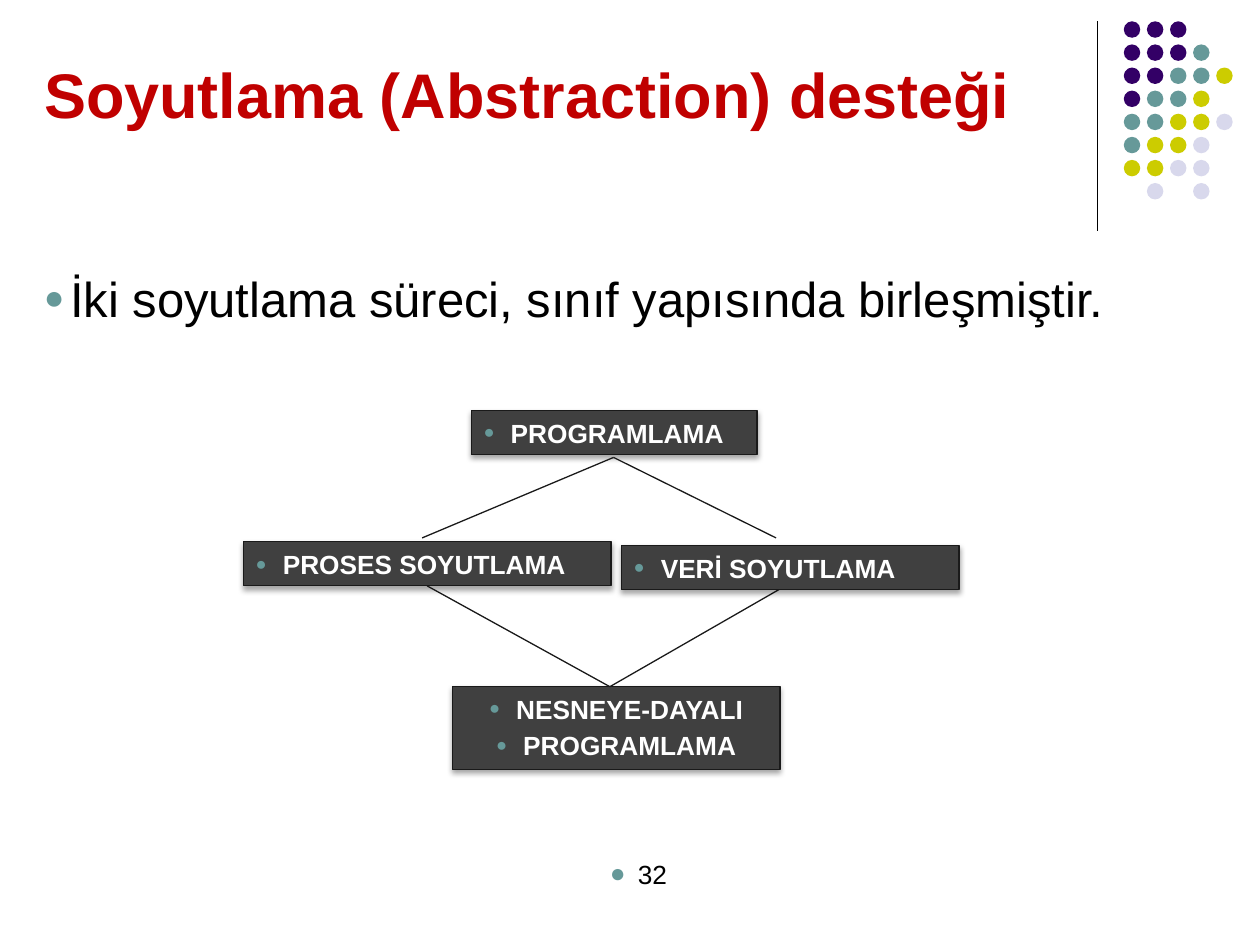
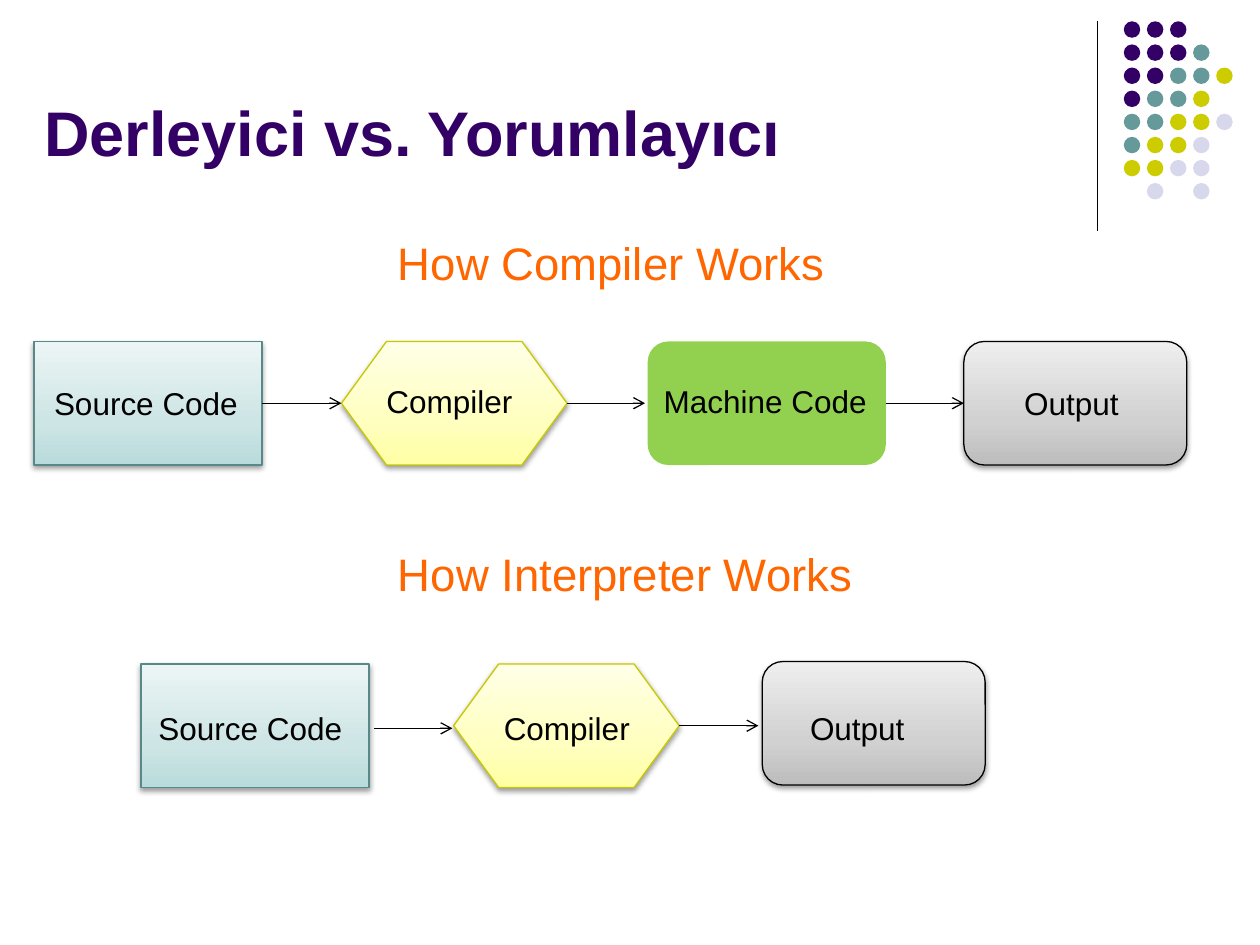
from lxml import etree
from pptx import Presentation
from pptx.dml.color import RGBColor
from pptx.enum.shapes import MSO_CONNECTOR, MSO_SHAPE
from pptx.enum.text import MSO_ANCHOR, MSO_AUTO_SIZE, PP_ALIGN
from pptx.oxml.ns import qn
from pptx.util import Pt

LEFT, CENTER = PP_ALIGN.LEFT, PP_ALIGN.CENTER
TOP, BOTTOM = MSO_ANCHOR.TOP, MSO_ANCHOR.BOTTOM
GROW = MSO_AUTO_SIZE.SHAPE_TO_FIT_TEXT
NO_FIT = MSO_AUTO_SIZE.NONE
STRAIGHT = MSO_CONNECTOR.STRAIGHT
RECT, OVAL = MSO_SHAPE.RECTANGLE, MSO_SHAPE.OVAL
ROUNDED, HEXAGON = MSO_SHAPE.ROUNDED_RECTANGLE, MSO_SHAPE.FLOWCHART_PREPARATION

FONT = "Arial"
BLACK = RGBColor(0x00, 0x00, 0x00)
WHITE = RGBColor(0xFF, 0xFF, 0xFF)
PURPLE = RGBColor(0x33, 0x00, 0x66)
TEAL = RGBColor(0x66, 0x99, 0x99)
OLIVE = RGBColor(0xCC, 0xCC, 0x00)
LAVENDER = RGBColor(0xD8, 0xD8, 0xEC)
RED = RGBColor(0xC0, 0x00, 0x00)
ORANGE = RGBColor(0xFF, 0x66, 0x00)
GREEN = RGBColor(0x92, 0xD0, 0x50)
CHARCOAL = RGBColor(0x40, 0x40, 0x40)
INK = RGBColor(0x1A, 0x1A, 0x1A)
TEAL_EDGE = RGBColor(0x59, 0x88, 0x88)
OLIVE_EDGE = RGBColor(0xC8, 0xC8, 0x00)

# Gradient colours run from the bottom of a shape to its top.
GRADIENT_STOPS = (0, 35, 100)
TEAL_FADE = (RGBColor(0xB9, 0xDB, 0xDB), RGBColor(0xCE, 0xE5, 0xE5),
             RGBColor(0xEC, 0xF5, 0xF5))
YELLOW_FADE = (RGBColor(0xFF, 0xFF, 0xA5), RGBColor(0xFF, 0xFF, 0xBF),
               RGBColor(0xFF, 0xFF, 0xE7))
GREY_FADE = (RGBColor(0xBD, 0xBD, 0xBD), RGBColor(0xD1, 0xD1, 0xD1),
             RGBColor(0xEE, 0xEE, 0xEE))

DOT_ROWS = ("PPP", "PPPT", "PPTTY", "PTTY", "TTYYL", "TYYL", "YYLL", " L L")
DOT_COLORS = {"P": PURPLE, "T": TEAL, "Y": OLIVE, "L": LAVENDER}
DOT_LEFT, DOT_TOP, DOT_SIZE, DOT_PITCH = 642.2, 12.2, 9.4, 13.2

STEP_HEIGHT = 70.6
# label: preset, fill, edge, width, label width
STEPS = {
    "Source Code": (RECT, TEAL_FADE, TEAL_EDGE, 130.3, 122.4),
    "Compiler": (HEXAGON, YELLOW_FADE, OLIVE_EDGE, 128.9, 89.3),
    "Machine Code": (ROUNDED, GREEN, None, 136.1, 131),
    "Output": (ROUNDED, GREY_FADE, BLACK, 127.4, 122.4),
}


def add_xml(parent, tag, **attrs):
    return etree.SubElement(parent, qn(tag), {k: str(v) for k, v in attrs.items()})


class Deck:
    """Holds the shared style and the slide being built."""

    def __init__(self):
        self.prs = Presentation()
        self.prs.slide_width, self.prs.slide_height = Pt(720), Pt(540)
        self.slide = None

    def new_slide(self, title, color, height, bottom_margin=3.6):
        self.slide = self.prs.slides.add_slide(self.prs.slide_layouts[5])
        self.line((627.1, 12.2), (627.1, 131.8), BLACK)
        self.dots()
        sp = self.slide.shapes.title
        sp.left, sp.top, sp.width, sp.height = Pt(18), Pt(18), Pt(606.2), Pt(height)
        tf = sp.text_frame
        tf.word_wrap = True
        tf.auto_size = NO_FIT
        tf.vertical_anchor = BOTTOM
        tf.margin_bottom = Pt(bottom_margin)
        tf.paragraphs[0].alignment = LEFT
        self.run(tf.paragraphs[0], title, 36, color, bold=True)

    def dots(self):
        for row, letters in enumerate(DOT_ROWS):
            for col, letter in enumerate(letters):
                if letter in DOT_COLORS:
                    self.shape(OVAL, DOT_LEFT + col * DOT_PITCH,
                               DOT_TOP + row * DOT_PITCH, DOT_SIZE, DOT_SIZE,
                               DOT_COLORS[letter])

    def run(self, p, text, size, color, bold=False):
        r = p.add_run()
        r.text = text
        r.font.name, r.font.size, r.font.bold = FONT, Pt(size), bold
        r.font.color.rgb = color

    def shape(self, preset, left, top, width, height, fill, edge=None):
        """Add a preset shape; a tuple of three colours as fill makes a gradient."""
        sp = self.slide.shapes.add_shape(preset, Pt(left), Pt(top), Pt(width), Pt(height))
        sp.shadow.inherit = False
        if isinstance(fill, RGBColor):
            sp.fill.solid()
            sp.fill.fore_color.rgb = fill
        else:
            self.gradient(sp, fill)
        if edge is None:
            sp.line.fill.background()
        else:
            sp.line.color.rgb = edge
            sp.line.width = Pt(0.75)
        return sp

    def gradient(self, sp, colors):
        sp.fill.gradient()
        sp.fill.gradient_angle = 90
        stops = sp._element.spPr.find(".//" + qn("a:gsLst"))
        stops.clear()
        for pos, color in zip(GRADIENT_STOPS, colors):
            gs = add_xml(stops, "a:gs", pos=pos * 1000)
            add_xml(gs, "a:srgbClr", val=color)

    def drop_shadow(self, sp, distance, opacity):
        effects = sp._element.spPr.find(qn("a:effectLst"))
        shadow = add_xml(effects, "a:outerShdw", blurRad=Pt(3.1), dist=Pt(distance),
                         dir=90 * 60000, rotWithShape=0)
        add_xml(add_xml(shadow, "a:srgbClr", val=BLACK), "a:alpha", val=opacity * 1000)

    def line(self, start, end, color, arrow=False):
        points = [Pt(v) for v in (*start, *end)]
        cx = self.slide.shapes.add_connector(STRAIGHT, *points)
        cx.line.color.rgb = color
        cx.line.width = Pt(0.75)
        add_xml(cx._element.spPr, "a:effectLst")
        if arrow:
            ln = cx._element.spPr.find(qn("a:ln"))
            add_xml(ln, "a:tailEnd", type="arrow")

    def bullet(self, p, indent, percent):
        pPr = p._p.get_or_add_pPr()
        pPr.set("marL", str(Pt(indent)))
        pPr.set("indent", str(-Pt(indent)))
        add_xml(add_xml(pPr, "a:buClr"), "a:srgbClr", val=TEAL)
        add_xml(pPr, "a:buSzPct", val=percent * 1000)
        add_xml(pPr, "a:buFont", typeface=FONT)
        add_xml(pPr, "a:buChar", char="●")

    def fill_text(self, sp, lines, size, color, bold=False, align=LEFT, indent=0,
                  bullet_percent=70, grow=True):
        """Fill a shape with paragraphs, bulleted when an indent is given."""
        tf = sp.text_frame
        tf.word_wrap = True
        tf.vertical_anchor = TOP
        tf.auto_size = GROW if grow else NO_FIT
        for i, text in enumerate(lines):
            p = tf.add_paragraph() if i else tf.paragraphs[0]
            p.alignment = align
            if grow:
                before = add_xml(p._p.get_or_add_pPr(), "a:spcBef")
                add_xml(before, "a:spcPct", val=20000)
            if indent:
                self.bullet(p, indent, bullet_percent)
            self.run(p, text, size, color, bold)

    def text(self, left, top, width, height, text, size, color, **style):
        sp = self.slide.shapes.add_textbox(Pt(left), Pt(top), Pt(width), Pt(height))
        self.fill_text(sp, [text], size, color, **style)
        return sp

    def concept(self, left, top, width, height, *lines, align=LEFT):
        sp = self.shape(RECT, left, top, width, height, CHARCOAL, INK)
        self.drop_shadow(sp, 1.8, 35)
        self.fill_text(sp, lines, 15, WHITE, bold=True, align=align, indent=15.5)

    def step(self, name, left, top, label_left, label_top):
        preset, fill, edge, width, label_width = STEPS[name]
        sp = self.shape(preset, left, top, width, STEP_HEIGHT, fill, edge)
        if edge is not None:
            self.drop_shadow(sp, 1.6, 38)
        self.text(label_left, label_top, label_width, 28.8, name, 18, BLACK)

    def flow(self, heading, heading_top, steps, arrows):
        self.text(220.3, heading_top, 290.9, 39.6, heading, 26, ORANGE)
        for step in steps:
            self.step(*step)
        for x1, x2, y in arrows:
            self.line((x1, y), (x2, y), BLACK, arrow=True)


def abstraction_slide(deck):
    deck.new_slide("Soyutlama (Abstraction) desteği", RED, 102.2, bottom_margin=45)
    deck.concept(269.3, 234.7, 163.4, 25.2, "PROGRAMLAMA")
    deck.concept(258.5, 392.4, 187.2, 47.5, "NESNEYE-DAYALI", "PROGRAMLAMA", align=CENTER)
    deck.concept(139, 309.6, 210.2, 25.2, "PROSES SOYUTLAMA")
    top, bottom = (350.6, 261.4), (348.5, 392.4)
    deck.line(top, (241.2, 307.4), INK)
    deck.line(top, (443.5, 307.4), INK)
    deck.line((450, 334.1), bottom, INK)
    deck.line((244.1, 334.8), bottom, INK)
    deck.concept(355, 311.8, 193, 25.2, "VERİ SOYUTLAMA")
    deck.text(18, 149.8, 684, 34.6, "İki soyutlama süreci, sınıf yapısında birleşmiştir.",
              28, BLACK, indent=15)
    number = deck.text(254.2, 486.7, 228.2, 36, "32", 15, BLACK, align=CENTER,
                       indent=16, bullet_percent=100, grow=False)
    number.text_frame.margin_right = Pt(14)


def compiler_slide(deck):
    deck.new_slide("Derleyici vs. Yorumlayıcı", PURPLE, 82.1)
    deck.flow(
        "How Compiler Works", 131,
        [("Source Code", 19.4, 195.1, 23.8, 216),
         ("Compiler", 195.1, 195.1, 213.8, 214.6),
         ("Machine Code", 370.1, 195.1, 372.2, 214.6),
         ("Output", 550.8, 195.1, 578.2, 216)],
        [(149.8, 195.1, 230.4), (324, 368.6, 230.4), (506.2, 550.8, 230.4)])
    deck.flow(
        "How Interpreter Works", 308.2,
        [("Source Code", 80.6, 379.4, 83.5, 401.8),
         ("Compiler", 259.2, 379.4, 280.8, 401.8),
         ("Output", 435.6, 378, 455.8, 401.8)],
        [(213.8, 258.5, 416.2), (388.1, 433.4, 414.7)])


def main():
    deck = Deck()
    abstraction_slide(deck)
    compiler_slide(deck)
    deck.prs.save("out.pptx")


if __name__ == "__main__":
    main()
